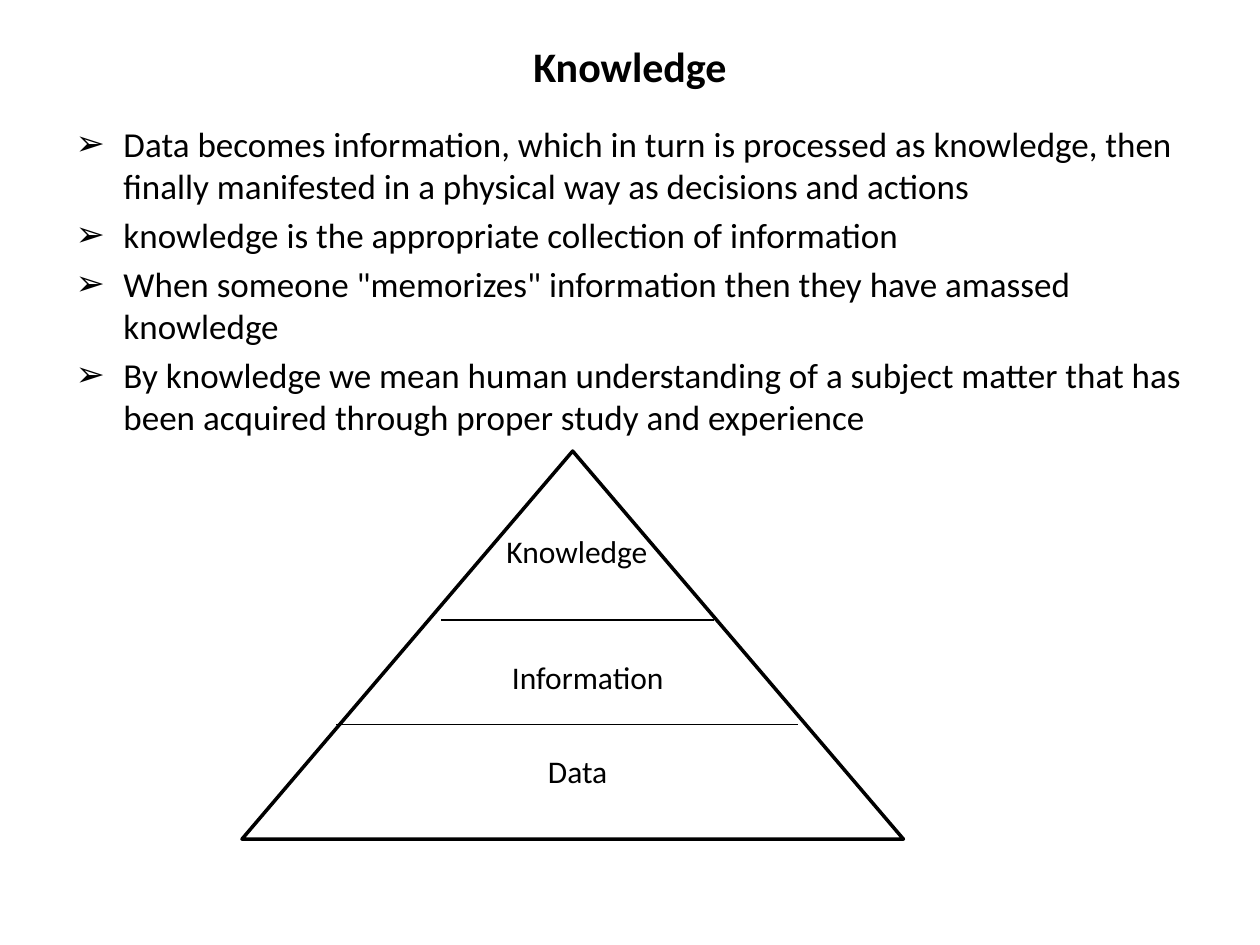
"""Build the Knowledge slide with its bullet list and three-level pyramid."""
import lxml.etree
import pptx
import pptx.dml.color
import pptx.enum.shapes
import pptx.enum.text
import pptx.oxml.ns
import pptx.util

Inches = pptx.util.Inches
ALIGN = pptx.enum.text.PP_ALIGN
ANCHOR = pptx.enum.text.MSO_ANCHOR
AUTO_SIZE = pptx.enum.text.MSO_AUTO_SIZE

COLORS = {"ink": "000000"}
FONT = "Calibri"
BULLET = "➢"
BULLET_INDENT = 0.38

TITLE = "Knowledge"
TITLE_BOX = (0.5, 0.3, 9, 0.45)
BODY_BOX = (0.5, 0.92, 9, 5.78)
POINTS = [
    "Data becomes information, which in turn is processed as knowledge, "
    "then finally manifested in a physical way as decisions and actions",
    "knowledge is the appropriate collection of information",
    'When someone "memorizes" information then they have amassed knowledge',
    "By knowledge we mean human understanding of a subject matter that has "
    "been acquired through proper study and experience",
]
PYRAMID_BOX = (1.92, 3.58, 5.25, 3.08)
DIVIDERS = [(2.67, 6.33, 5.75), (3.5, 5.67, 4.92)]
LEVELS = [
    ("Data", (3.67, 5.92, 1.83, 0.4)),
    ("Information", (3.75, 5.17, 1.83, 0.4)),
    ("Knowledge", (3.83, 4.17, 1.5, 0.4)),
]


def color(name):
    return pptx.dml.color.RGBColor.from_string(COLORS[name])


def apply(target, values):
    for name, value in values.items():
        setattr(target, name, value)


def place(shape, box):
    lengths = map(Inches, box)
    apply(shape, dict(zip(("left", "top", "width", "height"), lengths)))


def write(shape, lines, size, frame_format, align=None, bold=False):
    frame = shape.text_frame
    frame.text = "\n".join(lines)
    apply(frame, {"word_wrap": True, **frame_format})
    for paragraph in frame.paragraphs:
        paragraph.alignment = align
        for run in paragraph.runs:
            values = {"name": FONT, "size": pptx.util.Pt(size), "bold": bold}
            apply(run.font, values)
            run.font.color.rgb = color("ink")


def add_bullet(paragraph):
    properties = paragraph._p.get_or_add_pPr()
    properties.set("marL", str(Inches(BULLET_INDENT)))
    properties.set("indent", str(-Inches(BULLET_INDENT)))
    tag = pptx.oxml.ns.qn("a:buChar")
    lxml.etree.SubElement(properties, tag).set("char", BULLET)


def draw_line(shape, width):
    shape.line.color.rgb = color("ink")
    shape.line.width = pptx.util.Pt(width)


def add_pyramid(slide):
    triangle = slide.shapes.add_shape(
        pptx.enum.shapes.MSO_SHAPE.ISOSCELES_TRIANGLE, *map(Inches, PYRAMID_BOX)
    )
    triangle.shadow.inherit = False
    triangle.fill.background()
    draw_line(triangle, 2)
    for left, right, height in DIVIDERS:
        divider = slide.shapes.add_connector(
            pptx.enum.shapes.MSO_CONNECTOR.STRAIGHT,
            *map(Inches, (left, height, right, height)),
        )
        draw_line(divider, 0.75)
        tag = pptx.oxml.ns.qn("a:effectLst")
        lxml.etree.SubElement(divider._element.spPr, tag)
    for label, box in LEVELS:
        textbox = slide.shapes.add_textbox(*map(Inches, box))
        fit = {"auto_size": AUTO_SIZE.SHAPE_TO_FIT_TEXT}
        write(textbox, [label], 18, fit, ALIGN.CENTER)


def main():
    presentation = pptx.Presentation()
    size = {"slide_width": Inches(10), "slide_height": Inches(7.5)}
    apply(presentation, size)
    slide = presentation.slides.add_slide(presentation.slide_layouts[1])
    title, body = slide.placeholders
    place(title, TITLE_BOX)
    place(body, BODY_BOX)
    fixed = {"auto_size": AUTO_SIZE.NONE}
    middle = {**fixed, "vertical_anchor": ANCHOR.MIDDLE}
    write(title, [TITLE], 24, middle, ALIGN.CENTER, True)
    write(body, POINTS, 20, fixed)
    for paragraph in body.text_frame.paragraphs:
        add_bullet(paragraph)
    add_pyramid(slide)
    presentation.save("out.pptx")


if __name__ == "__main__":
    main()
